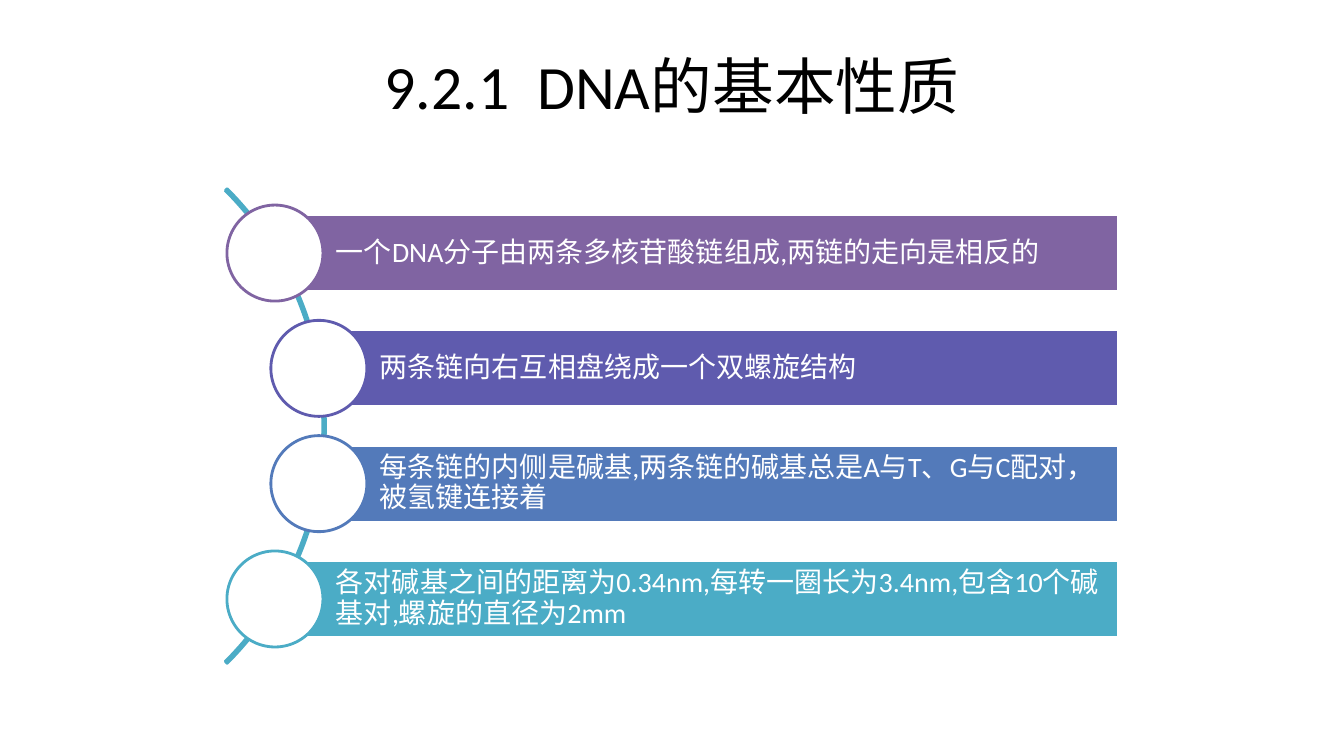
"""Build the slide on the basic properties of DNA."""
from pptx import Presentation
from pptx.dml.color import RGBColor
from pptx.enum.shapes import MSO_SHAPE
from pptx.enum.text import MSO_ANCHOR, PP_ALIGN
from pptx.util import Pt

RECT, OVAL, ARC = MSO_SHAPE.RECTANGLE, MSO_SHAPE.OVAL, MSO_SHAPE.BLOCK_ARC
MIDDLE = MSO_ANCHOR.MIDDLE
LEFT, CENTER = PP_ALIGN.LEFT, PP_ALIGN.CENTER

BLACK = RGBColor(0x00, 0x00, 0x00)
WHITE = RGBColor(0xFF, 0xFF, 0xFF)
PURPLE = RGBColor(0x80, 0x64, 0xA2)
INDIGO = RGBColor(0x5F, 0x5B, 0xAE)
BLUE = RGBColor(0x53, 0x7A, 0xBA)
TEAL = RGBColor(0x4B, 0xAC, 0xC6)

OUTER_X, INNER_X = 196.4, 227.8
FIRST_Y, STEP_Y = 180.8, 82.35
BAR_RIGHT, BAR_HEIGHT, CIRCLE = 799.2, 54.9, 68.6
ARC_X, ARC_SIZE = -247, 479.5

PROPERTIES = [
    (OUTER_X, PURPLE, "一个DNA分子由两条多核苷酸链组成,两链的走向是相反的"),
    (INNER_X, INDIGO, "两条链向右互相盘绕成一个双螺旋结构"),
    (INNER_X, BLUE, "每条链的内侧是碱基,两条链的碱基总是A与T、G与C配对，被氢键连接着"),
    (OUTER_X, TEAL, "各对碱基之间的距离为0.34nm,每转一圈长为3.4nm,包含10个碱基对,螺旋的直径为2mm"),
]


def add_shape(slide, kind, x, y, w, h, line, fill=None):
    """Add a preset shape with a 2 pt outline and an optional fill."""
    sp = slide.shapes.add_shape(kind, Pt(x), Pt(y), Pt(w), Pt(h))
    sp.shadow.inherit = False
    if fill is None:
        sp.fill.background()
    else:
        sp.fill.solid()
        sp.fill.fore_color.rgb = fill
    sp.line.color.rgb = line
    sp.line.width = Pt(2)
    return sp


def set_text(sp, text, size, color, align=LEFT, spacing=1.0, insets=(7.2, 3.6, 7.2, 3.6)):
    """Write one formatted, vertically centred paragraph into a shape."""
    tf = sp.text_frame
    tf.word_wrap = True
    tf.vertical_anchor = MIDDLE
    tf.margin_left, tf.margin_top, tf.margin_right, tf.margin_bottom = map(Pt, insets)
    p = tf.paragraphs[0]
    p.alignment = align
    p.line_spacing = spacing
    r = p.add_run()
    r.text = text
    r.font.name = "Calibri"
    r.font.size = Pt(size)
    r.font.color.rgb = color


def add_title(slide, text):
    """Add the centred slide title."""
    sp = slide.shapes.add_textbox(Pt(156), Pt(21.6), Pt(648), Pt(78.5))
    set_text(sp, text, 44, BLACK, align=CENTER)


def add_arc(slide, center_y):
    """Add the thin arc that runs behind the circles."""
    sp = add_shape(slide, ARC, ARC_X, center_y - ARC_SIZE / 2, ARC_SIZE, ARC_SIZE, TEAL)
    for i, value in enumerate((189, 27, 0.004)):
        sp.adjustments[i] = value


def add_property(slide, x, center_y, color, text):
    """Add a text bar with a circle centred on its left end."""
    bar = add_shape(slide, RECT, x, center_y - BAR_HEIGHT / 2,
                    BAR_RIGHT - x, BAR_HEIGHT, WHITE, color)
    set_text(bar, text, 20, WHITE, spacing=0.9, insets=(43.5, 4, 4, 4))
    add_shape(slide, OVAL, x - CIRCLE / 2, center_y - CIRCLE / 2,
              CIRCLE, CIRCLE, color, WHITE)


def main():
    """Create the presentation and save it."""
    prs = Presentation()
    prs.slide_width, prs.slide_height = Pt(960), Pt(540)
    slide = prs.slides.add_slide(prs.slide_layouts[6])
    add_title(slide, "9.2.1  DNA的基本性质")
    add_arc(slide, FIRST_Y + STEP_Y * (len(PROPERTIES) - 1) / 2)
    for i, (x, color, text) in enumerate(PROPERTIES):
        add_property(slide, x, FIRST_Y + i * STEP_Y, color, text)
    prs.save("out.pptx")


if __name__ == "__main__":
    main()
